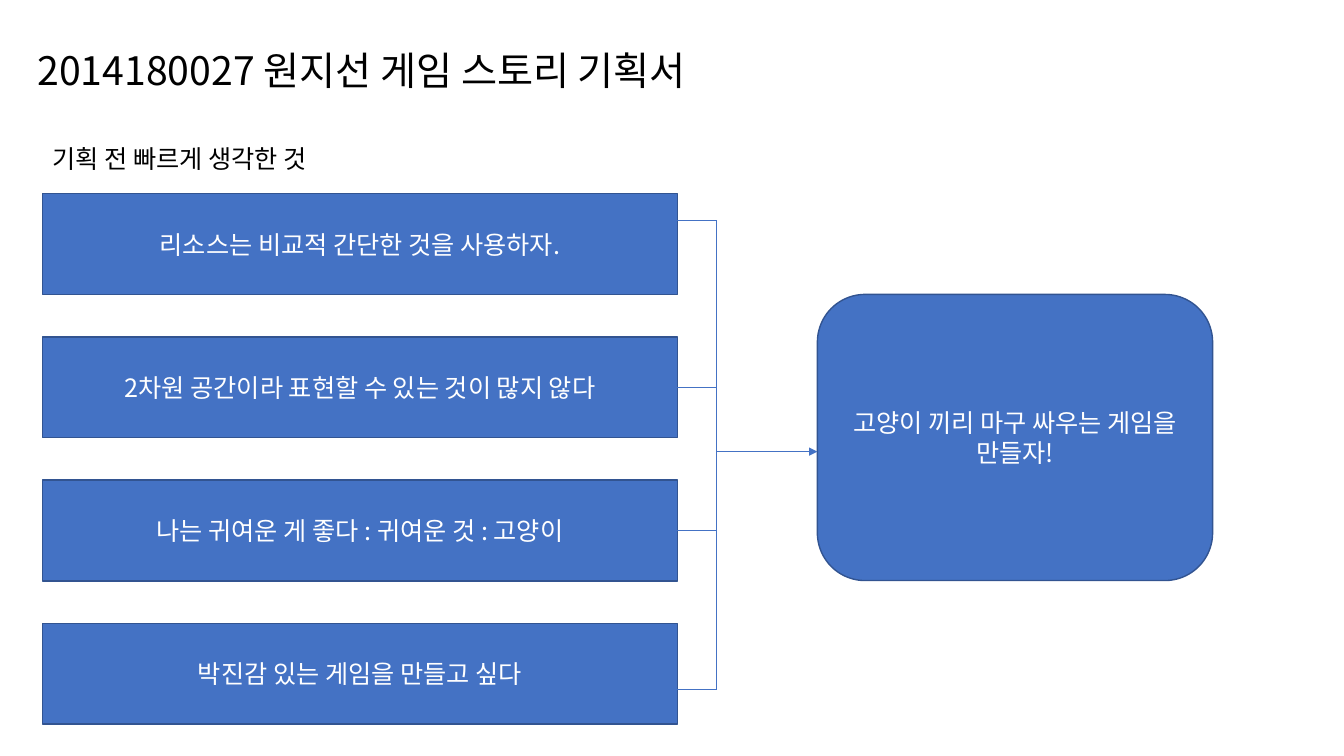
from lxml import etree
from pptx import Presentation
from pptx import util as u
from pptx.dml.color import RGBColor
from pptx.enum import shapes, text
from pptx.oxml import ns

# Content
TITLE = "2014180027 원지선 게임 스토리 기획서"
SUBTITLE = "기획 전 빠르게 생각한 것"
IDEAS = [
    "리소스는 비교적 간단한 것을 사용하자.",
    "2차원 공간이라 표현할 수 있는 것이 많지 않다",
    "나는 귀여운 게 좋다 : 귀여운 것 : 고양이",
    "박진감 있는 게임을 만들고 싶다",
]
CONCLUSION = "고양이 끼리 마구 싸우는 게임을 만들자!"
FONT = "Noto Sans CJK KR"
COLORS = {"fill": "4472C4", "border": "325491", "dark": "000000", "light": "FFFFFF"}

# Layout in centimetres
BOX_LEFT, BOX_TOP, BOX_WIDTH, BOX_HEIGHT, BOX_PITCH = 1.07, 4.88, 16, 2.54, 3.61
BOX_RIGHT = BOX_LEFT + BOX_WIDTH
TRUNK_X = 18.06
BRANCH_YS = [5.56, 9.75, 13.36, 17.37]
GOAL = (20.6, 7.42, 9.96, 7.21)
ARROW_Y = 11.38


def color(name):
    return RGBColor.from_string(COLORS[name])


def write(shape, content, size, color_name, align):
    frame = shape.text_frame
    frame.text = content
    frame.vertical_anchor = text.MSO_ANCHOR.MIDDLE
    paragraph = frame.paragraphs[0]
    paragraph.alignment = align
    font = paragraph.runs[0].font
    font.size, font.name = u.Pt(size), FONT
    font.color.rgb = color(color_name)
    # East Asian typeface for the Korean text
    east_asian = etree.SubElement(paragraph.runs[0]._r.get_or_add_rPr(), ns.qn("a:ea"))
    east_asian.set("typeface", FONT)


def add_box(kind, bounds, content):
    shape = slide.shapes.add_shape(kind, *map(u.Cm, bounds))
    shape.shadow.inherit = False
    shape.fill.solid()
    shape.fill.fore_color.rgb = color("fill")
    shape.line.color.rgb = color("border")
    shape.line.width = u.Pt(1)
    write(shape, content, 18, "light", text.PP_ALIGN.CENTER)


def add_line(x1, y1, x2, y2, arrow=False):
    line = slide.shapes.add_connector(
        shapes.MSO_CONNECTOR.STRAIGHT, *map(u.Cm, (x1, y1, x2, y2)))
    line.line.color.rgb = color("fill")
    line.line.width = u.Pt(0.5)
    if arrow:
        etree.SubElement(line.line._get_or_add_ln(), ns.qn("a:tailEnd")).set("type", "triangle")
    etree.SubElement(line._element.spPr, ns.qn("a:effectLst"))


presentation = Presentation()
presentation.slide_width, presentation.slide_height = u.Cm(33.87), u.Cm(19.05)
slide = presentation.slides.add_slide(presentation.slide_layouts[5])

# Title and subtitle
title = slide.shapes.title
title.left, title.top, title.width, title.height = map(u.Cm, (0.69, 1.04, 20.32, 1.45))
write(title, TITLE, 28, "dark", text.PP_ALIGN.LEFT)
title.text_frame.auto_size = text.MSO_AUTO_SIZE.NONE
subtitle = slide.shapes.add_textbox(*map(u.Cm, (BOX_LEFT, 3.48, 7.82, 1.02)))
subtitle.text_frame.word_wrap = True
write(subtitle, SUBTITLE, 18, "dark", text.PP_ALIGN.LEFT)

# Ideas and their conclusion
for row, idea in enumerate(IDEAS):
    add_box(shapes.MSO_SHAPE.RECTANGLE,
            (BOX_LEFT, BOX_TOP + row * BOX_PITCH, BOX_WIDTH, BOX_HEIGHT), idea)
add_box(shapes.MSO_SHAPE.ROUNDED_RECTANGLE, GOAL, CONCLUSION)

# Bracket joining the ideas, with an arrow to the conclusion
for y in BRANCH_YS:
    add_line(BOX_RIGHT, y, TRUNK_X, y)
add_line(TRUNK_X, BRANCH_YS[0], TRUNK_X, BRANCH_YS[-1])
add_line(TRUNK_X, ARROW_Y, GOAL[0], ARROW_Y, arrow=True)

presentation.save("out.pptx")
